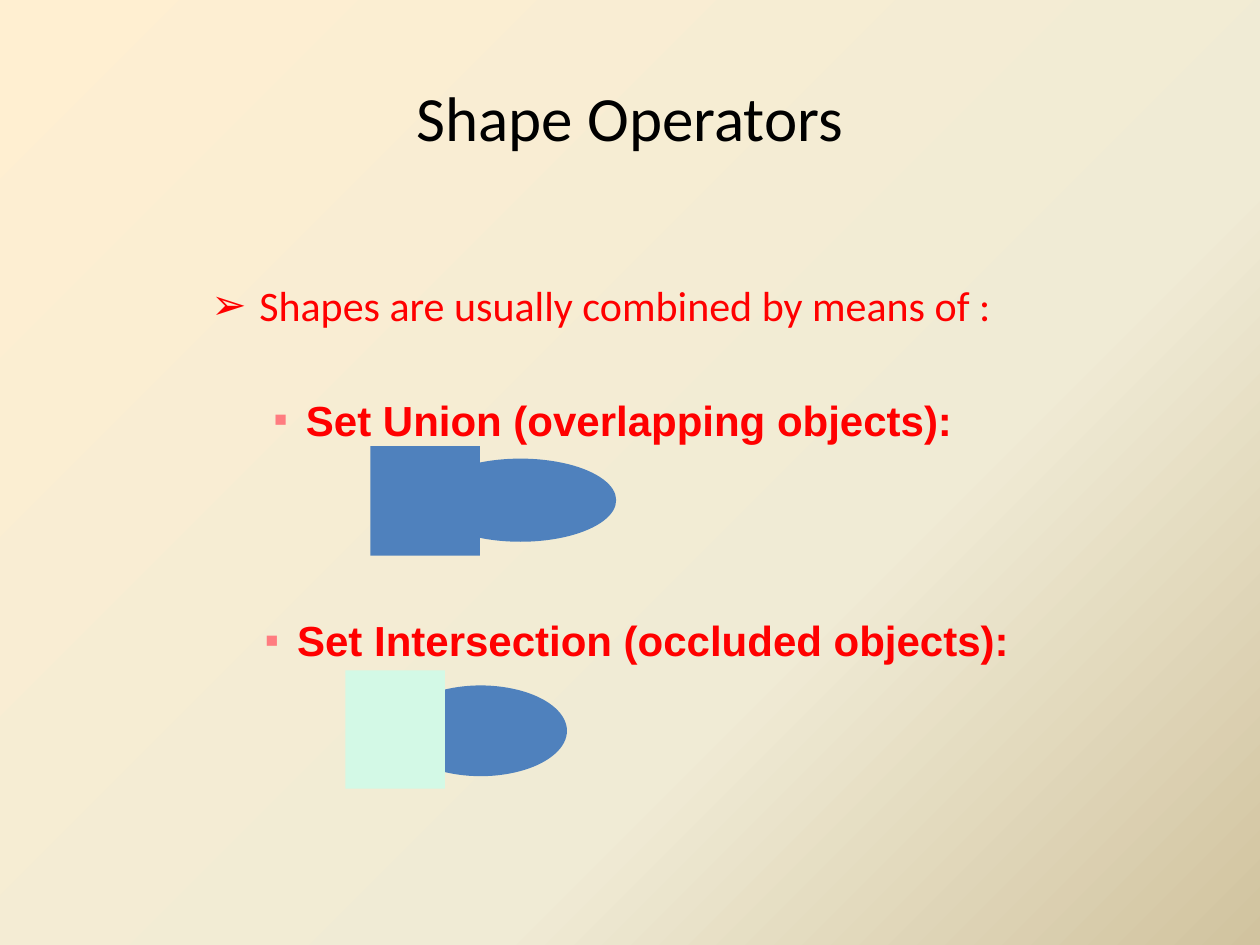
"""Build the Shape Operators slide."""
from lxml import etree
from pptx import Presentation
from pptx.dml.color import RGBColor
from pptx.enum import shapes, text
from pptx.oxml import parse_xml
from pptx.oxml.ns import qn
from pptx.util import Inches, Pt

BLACK = RGBColor(0x00, 0x00, 0x00)
RED = RGBColor(0xFF, 0x00, 0x00)
PINK = RGBColor(0xFF, 0x7C, 0x80)
BLUE = RGBColor(0x4F, 0x81, 0xBD)
MINT = RGBColor(0xD3, 0xF9, 0xE6)
STOPS = [(0, RGBColor(0xFF, 0xEF, 0xD1)), (65, RGBColor(0xF0, 0xEB, 0xD5)),
         (100, RGBColor(0xD1, 0xC3, 0x9F))]
ANGLE = 45

RECT = shapes.MSO_SHAPE.RECTANGLE
OVAL = shapes.MSO_SHAPE.OVAL
HEAD = {"name": "Calibri", "size": Pt(36), "color": BLACK}
LEAD = {"name": "Calibri", "size": Pt(24), "color": RED}
ITEM = {"name": "Arial", "size": Pt(24), "bold": True, "color": RED}
ARROW = {"char": "➢", "indent": 0.38, "hang": 0.38}
SQUARE = {"char": "■", "indent": 1.25, "hang": 0.25, "color": PINK, "scale": 50}

TITLE = ("Shape Operators", (0.5, 0.3, 9, 1.25))
INTRO = ("Shapes are usually combined by means of :", (1.58, 2.17, 8.5, 4.5))
GROUPS = [
    ("Set Intersection (occluded objects):", (1.01, 4.83, 7.32, 1.92),
     [(OVAL, BLUE, (3.13, 5.44, 1.37, 0.72)), (RECT, MINT, (2.74, 5.32, 0.79, 0.94))]),
    ("Set Union (overlapping objects):", (1.08, 3.08, 8.08, 1.5),
     [(RECT, BLUE, (2.94, 3.54, 0.87, 0.87)), (OVAL, BLUE, (3.37, 3.64, 1.52, 0.66))]),
]


def paint(slide):
    fill = slide.background.fill
    fill.gradient()
    fill.gradient_angle = -ANGLE % 360
    old = fill.gradient_stops
    colors = "".join(f'<a:gs pos="{pos * 1000}"><a:srgbClr val="{color}"/></a:gs>'
                     for pos, color in STOPS)
    space = "http://schemas.openxmlformats.org/drawingml/2006/main"
    stops = parse_xml(f'<a:gsLst xmlns:a="{space}">{colors}</a:gsLst>')
    now = next(slide.background._cSld.iter(qn("a:gsLst")))
    now.getparent().replace(now, stops)


def add_bullet(para, mark):
    props = para._p.get_or_add_pPr()
    props.set("marL", str(Inches(mark["indent"])))
    props.set("indent", str(-Inches(mark["hang"])))
    if "color" in mark:
        tint = etree.SubElement(props, qn("a:buClr"))
        etree.SubElement(tint, qn("a:srgbClr"), val=str(mark["color"]))
        etree.SubElement(props, qn("a:buSzPct"), val=str(mark["scale"] * 1000))
    etree.SubElement(props, qn("a:buFont"), typeface="Arial")
    etree.SubElement(props, qn("a:buChar"), char=mark["char"])


def add_text(slide, words, box, style, mark=None):
    frame = slide.shapes.add_textbox(*map(Inches, box)).text_frame
    frame.word_wrap = True
    para = frame.paragraphs[0]
    if mark:
        add_bullet(para, mark)
    else:
        frame.vertical_anchor = text.MSO_ANCHOR.MIDDLE
        para.alignment = text.PP_ALIGN.CENTER
    run = para.add_run()
    run.text = words
    for key, value in style.items():
        if key == "color":
            run.font.color.rgb = value
        else:
            setattr(run.font, key, value)


def add_form(slide, kind, color, box):
    shape = slide.shapes.add_shape(kind, *map(Inches, box))
    shape.shadow.inherit = False
    shape.fill.solid()
    shape.fill.fore_color.rgb = color
    shape.line.fill.background()


def main():
    deck = Presentation()
    deck.slide_width, deck.slide_height = Inches(10), Inches(7.5)
    slide = deck.slides.add_slide(deck.slide_layouts[6])
    paint(slide)
    add_text(slide, *TITLE, HEAD)
    add_text(slide, *INTRO, LEAD, ARROW)
    for words, box, forms in GROUPS:
        for form in forms:
            add_form(slide, *form)
        add_text(slide, words, box, ITEM, SQUARE)
    deck.save("out.pptx")


if __name__ == "__main__":
    main()
